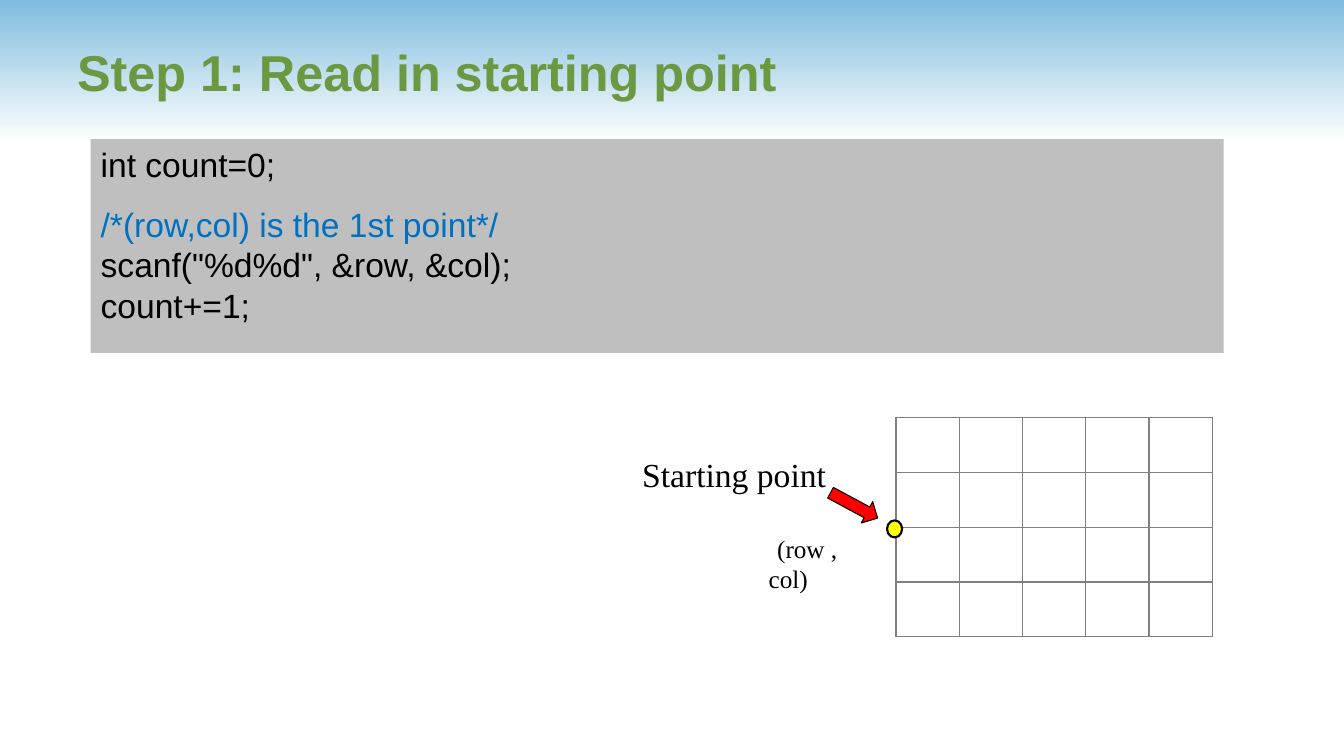
from lxml import etree
from pptx import Presentation
from pptx import util as u
from pptx.dml.color import RGBColor
from pptx.enum import shapes, text
from pptx.oxml.ns import qn

Pt = u.Pt
SKY = RGBColor(0x80, 0xBC, 0xDE)
WHITE = RGBColor(0xFF, 0xFF, 0xFF)
GREEN = RGBColor(0x6B, 0x99, 0x41)
SILVER = RGBColor(0xBF, 0xBF, 0xBF)
BLUE = RGBColor(0x00, 0x70, 0xC0)
BLACK = RGBColor(0, 0, 0)
YELLOW = RGBColor(0xFF, 0xFF, 0)
RED = RGBColor(0xFF, 0, 0)

TITLE = dict(name="Arial", size=Pt(36), bold=True)
CODE = dict(name="Arial", size=Pt(24))
LABEL = dict(name="Times New Roman", size=Pt(24))
POINT = dict(name="Times New Roman", size=Pt(18))


def add_shape(s, kind, box, fill=None, line=None):
    sp = s.shapes.add_shape(kind, *map(Pt, box))
    sp.shadow.inherit = False
    if fill is not None:
        sp.fill.solid()
        sp.fill.fore_color.rgb = fill
    if line:
        sp.line.color.rgb = BLACK
        sp.line.width = Pt(line)
    else:
        sp.line.fill.background()
    return sp


def write(p, words, style, color=BLACK):
    p.alignment = text.PP_ALIGN.LEFT
    r = p.add_run()
    r.text = words
    for key, value in style.items():
        setattr(r.font, key, value)
    r.font.color.rgb = color


def add_text(s, box, words, style, color=BLACK, indent=0):
    tf = s.shapes.add_textbox(*map(Pt, box)).text_frame
    tf.word_wrap = True
    p = tf.paragraphs[0]
    if indent:
        p._p.get_or_add_pPr().set("indent", str(Pt(indent)))
    write(p, words, style, color)
    return tf


def add_header(s, x, y, w, h):
    # Gradient band, darkest at the top
    band = add_shape(s, shapes.MSO_SHAPE.RECTANGLE, (x, y, w, h))
    band.fill.gradient()
    band.fill.gradient_angle = 270
    for stop, color, position in zip(band.fill.gradient_stops, (SKY, WHITE), (0, 1)):
        stop.color.rgb = color
        stop.position = position
    # Title
    tf = add_text(s, (x + 48, y + 6, w - 88, h - 12), "Step 1: Read in starting point", TITLE, GREEN)
    tf.vertical_anchor = text.MSO_ANCHOR.MIDDLE


def add_code(s, x, y, w, h):
    sp = add_shape(s, shapes.MSO_SHAPE.RECTANGLE, (x, y, w, h), SILVER)
    tf = sp.text_frame
    tf.word_wrap = True
    tf.vertical_anchor = text.MSO_ANCHOR.TOP
    lines = [
        ("int count=0;", BLACK, 0),
        ("/*(row,col) is the 1st point*/", BLUE, 14),
        ('scanf("%d%d", &row, &col);', BLACK, 0),
        ("count+=1;", BLACK, 0),
    ]
    for i, (words, color, gap) in enumerate(lines):
        p = tf.add_paragraph() if i else tf.paragraphs[0]
        if gap:
            p.space_before = Pt(gap)
        write(p, words, CODE, color)


def add_border(cell):
    tcPr = cell._tc.get_or_add_tcPr()
    for i, side in enumerate(("lnL", "lnR", "lnT", "lnB")):
        ln = etree.Element(qn("a:" + side), w=str(Pt(1)))
        fill = etree.SubElement(ln, qn("a:solidFill"))
        etree.SubElement(fill, qn("a:srgbClr"), val="808080")
        tcPr.insert(i, ln)


def add_grid(s, x, y, w, h, rows=4, cols=5):
    # Empty grid
    table = s.shapes.add_table(rows, cols, *map(Pt, (x, y, w, h))).table
    table.first_row = table.horz_banding = False
    for row in table.rows:
        row.height = Pt(h / rows)
    for col in table.columns:
        col.width = Pt(w / cols)
    for cell in table.iter_cells():
        cell.fill.background()
        add_border(cell)

    # Starting point, on the left edge at half height
    mid = y + h / 2
    add_shape(s, shapes.MSO_SHAPE.OVAL, (x - 6.4, mid - 4.9, 10.8, 12.2), YELLOW, 1.5)
    arrow = add_shape(s, shapes.MSO_SHAPE.RIGHT_ARROW, (x - 49, mid - 24.2, 38.2, 17.3), RED, 0.75)
    arrow.rotation = 28.3

    # Labels
    add_text(s, (x - 194.4, mid - 55.8, 154.8, 36), "Starting point", LABEL, indent=6)
    add_text(s, (x - 98, mid + 0.6, 92.9, 50), "(row , col)", POINT, indent=6)


def main():
    prs = Presentation()
    prs.slide_width, prs.slide_height = Pt(960), Pt(540)
    s = prs.slides.add_slide(prs.slide_layouts[6])
    add_header(s, 0, 0, 960, 102)
    add_code(s, 64.8, 99.4, 809.2, 152.6)
    add_grid(s, 640, 298.4, 226, 156.4)
    prs.save("out.pptx")


if __name__ == "__main__":
    main()
